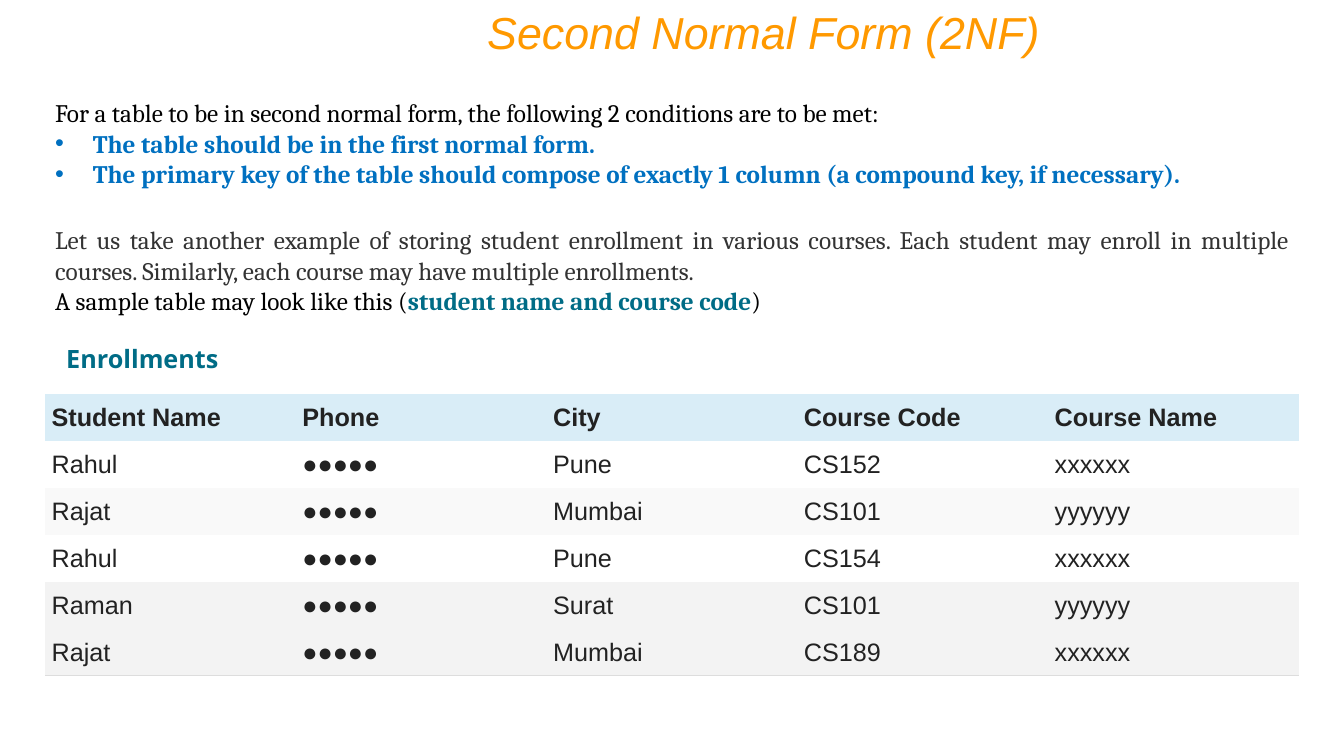
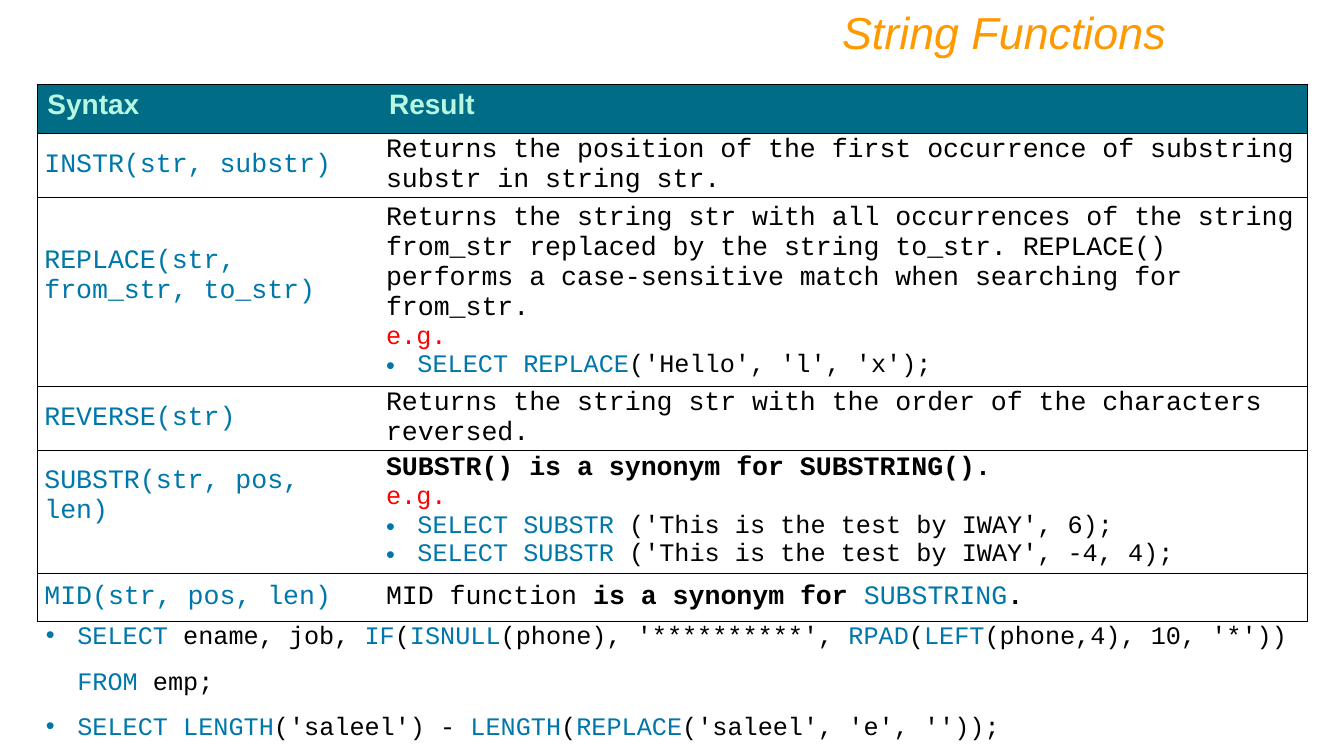
"""Build two database slides: second normal form and string functions."""
import dataclasses

import lxml.etree
import pptx
import pptx.dml.color
import pptx.enum.text
import pptx.oxml.ns
import pptx.util

Cm = pptx.util.Cm
Pt = pptx.util.Pt
qn = pptx.oxml.ns.qn
ALIGN = pptx.enum.text.PP_ALIGN
ANCHOR = pptx.enum.text.MSO_ANCHOR

WIDE, HIGH = 33.87, 19.05
ORANGE, TEAL, BLUE, SKY = "FF9900", "006C86", "0070C0", "0077AA"
BLACK, GREY, DARK, RED = "000000", "333333", "222222", "FF0000"
WHITE, MINT, PALE, RULE = "FFFFFF", "B7F7E2", "D9EDF7", "DDDDDD"
SANS, SERIF, MONO, OPEN = "Arial", "Cambria", "Courier New", "Open Sans"
PLAIN = "{2D5ABB26-0587-4C30-8999-92F81FD0307C}"
SIDES = ("lnL", "lnR", "lnT", "lnB")


@dataclasses.dataclass
class Run:
    """Hold one piece of text and its look."""
    text: str
    ink: str = BLACK
    bold: bool = False
    slant: bool = False


@dataclasses.dataclass
class Para:
    """Hold the runs of a paragraph and its layout."""
    runs: list
    face: str = MONO
    size: int = 18
    indent: float = 0
    align: object = None
    space: object = None


def color(code):
    """Turn a hex string into a colour."""
    return pptx.dml.color.RGBColor.from_string(code)


def bullet(para, indent):
    """Give a paragraph a hanging round bullet."""
    props = para._p.get_or_add_pPr()
    props.set("marL", str(Cm(indent)))
    props.set("indent", str(-Cm(indent)))
    lxml.etree.SubElement(props, qn("a:buFont")).set("typeface", SANS)
    lxml.etree.SubElement(props, qn("a:buChar")).set("char", "•")


def write(frame, paras):
    """Fill a text frame with paragraphs, run by run."""
    for i, item in enumerate(paras):
        para = frame.add_paragraph() if i else frame.paragraphs[0]
        if item.space:
            para.line_spacing = item.space
        if item.indent:
            bullet(para, item.indent)
        if item.align:
            para.alignment = item.align
        for piece in item.runs:
            run = para.add_run()
            run.text = piece.text
            font = run.font
            font.name, font.size = item.face, Pt(item.size)
            font.bold, font.italic = piece.bold, piece.slant
            font.color.rgb = color(piece.ink)


def label(slide, box, paras):
    """Place a wrapping text box."""
    frame = slide.shapes.add_textbox(*map(Cm, box)).text_frame
    frame.word_wrap = True
    frame.auto_size = pptx.enum.text.MSO_AUTO_SIZE.SHAPE_TO_FIT_TEXT
    write(frame, paras)


def title(slide, left, width, text):
    """Place the slanted orange title at the top."""
    run = Run(text, ORANGE, slant=True)
    label(slide, (left, 0, width, 1.62),
          [Para([run], SANS, 32, align=ALIGN.RIGHT)])


def border(cell, lines):
    """Draw the named cell sides and blank out the rest."""
    props = cell._tc.get_or_add_tcPr()
    for i, side in enumerate(SIDES):
        line = lxml.etree.Element(qn("a:" + side), w=str(Pt(0.75)))
        kind = "a:solidFill" if side in lines else "a:noFill"
        fill = lxml.etree.SubElement(line, qn(kind))
        if side in lines:
            tint = lxml.etree.SubElement(fill, qn("a:srgbClr"))
            tint.set("val", lines[side])
        props.insert(i, line)


def grid(slide, box, cols, rows):
    """Place an unstyled table with the given column and row sizes."""
    shape = slide.shapes.add_table(len(rows), len(cols), *map(Cm, box))
    table = shape.table
    table._tbl.tblPr.find(qn("a:tableStyleId")).text = PLAIN
    for col, width in zip(table.columns, cols):
        col.width = Cm(width)
    for row, height in zip(table.rows, rows):
        row.height = Cm(height)
    return table


def pad(cell, side, top, base):
    """Set the inner margins of a cell."""
    cell.margin_left = cell.margin_right = Cm(side)
    cell.margin_top, cell.margin_bottom = Cm(top), Cm(base)


def paint(cell, shade, lines, paras, anchor=ANCHOR.MIDDLE):
    """Fill, rule and write one cell."""
    cell.fill.solid()
    cell.fill.fore_color.rgb = color(shade)
    border(cell, lines)
    cell.vertical_anchor = anchor
    write(cell.text_frame, paras)


def code(*parts):
    """Make runs that switch between keyword and plain ink."""
    return [Run(part, BLACK if i % 2 else SKY)
            for i, part in enumerate(parts)]


def demo(*lines):
    """Make the example heading and its bulleted code lines."""
    return [Para([Run("e.g.", RED)])] + [
        Para(code(*line), indent=0.79) for line in lines]


def say(*runs):
    """Make one paragraph of a function's result."""
    return Para(list(runs), size=19)


ROLL = [
    ("Student Name", "Phone", "City", "Course Code", "Course Name"),
    ("Rahul", "●●●●●", "Pune", "CS152", "xxxxxx"),
    ("Rajat", "●●●●●", "Mumbai", "CS101", "yyyyyy"),
    ("Rahul", "●●●●●", "Pune", "CS154", "xxxxxx"),
    ("Raman", "●●●●●", "Surat", "CS101", "yyyyyy"),
    ("Rajat", "●●●●●", "Mumbai", "CS189", "xxxxxx"),
]
SHADES = [PALE, WHITE, "F9F9F9", WHITE, "F3F3F3", "F3F3F3"]

CALLS = [
    ("INSTR(str, substr)", 1.61, 0, [say(Run(
        "Returns the position of the first occurrence of substring "
        "substr in string str."))]),
    ("REPLACE(str, from_str, to_str)", 4.76, 0.76, [say(Run(
        "Returns the string str with all occurrences of the string "
        "from_str replaced by the string to_str. REPLACE() performs a "
        "case-sensitive match when searching for from_str."))]
     + demo(("SELECT REPLACE", "('Hello', 'l', 'x');"))),
    ("REVERSE(str)", 1.59, 0, [say(Run(
        "Returns the string str with the order of the characters "
        "reversed."))]),
    ("SUBSTR(str, pos, len)", 3.1, 0.76, [say(Run(
        "SUBSTR() is a synonym for SUBSTRING().", bold=True))]
     + demo(("SELECT SUBSTR", " ('This is the test by IWAY', 6);"),
            ("SELECT SUBSTR", " ('This is the test by IWAY', -4, 4);"))),
    ("MID(str, pos, len)", 1.23, 0, [say(
        Run("MID function "), Run("is a synonym for ", bold=True),
        Run("SUBSTRING", SKY), Run(".", bold=True))]),
]


def roll(slide, box):
    """Place the table of enrollments."""
    wide, high = box[2], box[3]
    count, deep = len(ROLL[0]), len(ROLL)
    table = grid(slide, box, [wide / count] * count, [high / deep] * deep)
    for r, (names, shade) in enumerate(zip(ROLL, SHADES)):
        for c, name in enumerate(names):
            cell = table.cell(r, c)
            pad(cell, 0.16, 0.21, 0.21)
            paint(cell, shade, {"lnB": RULE},
                  [Para([Run(name, DARK, r == 0)], SANS)])


def calls(slide, box):
    """Place the table of string functions."""
    first = 8.61
    rows = [1.23] + [call[1] for call in CALLS]
    table = grid(slide, box, [first, box[2] - first], rows)
    edges = [{side: BLACK, "lnT": BLACK, "lnB": BLACK}
             for side in ("lnL", "lnR")]
    for c, head in enumerate(("Syntax", "Result")):
        paint(table.cell(0, c), TEAL, edges[c],
              [Para([Run(head, MINT, True)], SANS, 20)], ANCHOR.TOP)
    for r, (name, _, base, result) in enumerate(CALLS, 1):
        left, right = table.cell(r, 0), table.cell(r, 1)
        pad(left, 0.18, 0, base)
        pad(right, 0.18, 0, 0)
        paint(left, WHITE, edges[0], [say(Run(name, SKY))])
        paint(right, WHITE, edges[1], result)


def normal(slide):
    """Build the slide on the second normal form."""
    left, wide = 1.14, 31.6
    title(slide, 7.42, 19.05, "Second Normal Form (2NF)")
    rules = ("The table should be in the first normal form.",
             "The primary key of the table should compose of exactly "
             "1 column (a compound key, if necessary).")
    lead = Run("For a table to be in second normal form, the following "
               "2 conditions are to be met:")
    label(slide, (left, 2.34, wide, 2.56), [Para([lead], SERIF)] + [
        Para([Run(rule, BLUE, True)], SERIF, indent=0.95)
        for rule in rules])
    story = Run("Let us take another example of storing student enrollment "
                "in various courses. Each student may enroll in multiple "
                "courses. Similarly, each course may have multiple "
                "enrollments.", GREY)
    sample = [Run("A sample table may look like this ("),
              Run("student name and course code", TEAL, True), Run(")")]
    label(slide, (left, 5.54, wide, 2.56), [
        Para(runs, SERIF, align=ALIGN.JUSTIFY)
        for runs in ([story], sample)])
    roll(slide, (left, 9.93, wide, 7.1))
    label(slide, (1.42, 8.53, 8.1, 1.02),
          [Para([Run("Enrollments", TEAL, True)], OPEN)])


def strings(slide):
    """Build the slide on string functions."""
    title(slide, 4.24, 25.4, "String Functions")
    calls(slide, (0.94, 2.13, 32, 13.52))
    lines = [
        code("SELECT", " ename, job, ", "IF", "(", "ISNULL",
             "(phone), '**********', ", "RPAD", "(", "LEFT",
             "(phone,4), 10, '*')) ", "FROM", " emp;"),
        code("SELECT LENGTH", "('saleel') - ", "LENGTH", "(", "REPLACE",
             "('saleel', 'e', ''));"),
    ]
    label(slide, (0.91, 15.11, 32, 2.44), [
        Para(line, indent=0.79, space=1.5) for line in lines])


def main():
    """Build and save the deck."""
    deck = pptx.Presentation()
    deck.slide_width, deck.slide_height = Cm(WIDE), Cm(HIGH)
    for build in (normal, strings):
        build(deck.slides.add_slide(deck.slide_layouts[6]))
    deck.save("out.pptx")


if __name__ == "__main__":
    main()
